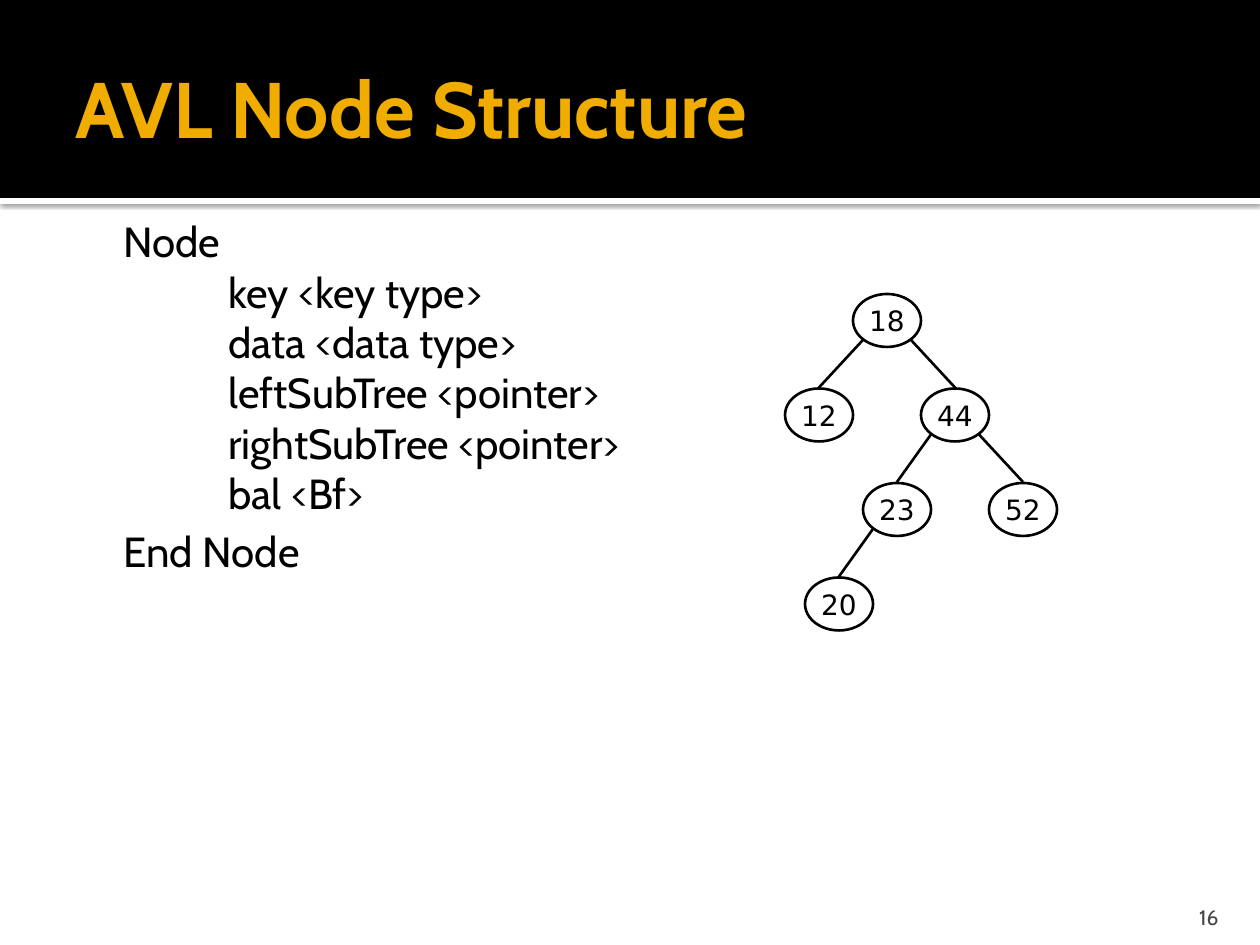
from dataclasses import dataclass

from lxml.etree import SubElement
from pptx import Presentation
from pptx.dml.color import RGBColor
from pptx.enum.shapes import MSO_CONNECTOR, MSO_SHAPE
from pptx.enum.text import MSO_ANCHOR, MSO_AUTO_SIZE, PP_ALIGN
from pptx.oxml.ns import qn
from pptx.util import Inches, Pt

PX_PER_INCH = 126


@dataclass(frozen=True)
class Theme:
    font: str = "Cabin"
    node_font: str = "DejaVu Sans"
    black: RGBColor = RGBColor(0, 0, 0)
    white: RGBColor = RGBColor(255, 255, 255)
    title: RGBColor = RGBColor(0xF0, 0xAD, 0x00)
    number: RGBColor = RGBColor(0x45, 0x45, 0x45)
    title_size: int = 45
    body_size: int = 24
    end_size: int = 28
    node_size: int = 16
    number_size: int = 12
    line_width: float = 1.5


THEME = Theme()

FIELDS = ["key <key type>", "data <data type>", "leftSubTree <pointer>",
          "rightSubTree <pointer>", "bal <Bf>"]
TEXT_INDENT = 105
TAB_STOP = 393

NODE_WIDTH, NODE_HEIGHT = 68, 53
ROOT_X, TREE_TOP, LEVEL_STEP = 887, 294, 94.5
EDGE_X, EDGE_Y = 24, 46
# key: (parent key, horizontal offset from the parent)
TREE = {18: (None, 0), 12: (18, -68), 44: (18, 68),
        52: (44, 68), 23: (44, -58), 20: (23, -58)}


def px(value):
    return Inches(value / PX_PER_INCH)


def place(shape, left, top, width, height):
    shape.left, shape.top = px(left), px(top)
    shape.width, shape.height = px(width), px(height)


def set_frame(shape, anchor, insets, wrap=True):
    frame = shape.text_frame
    frame.auto_size = MSO_AUTO_SIZE.NONE
    frame.word_wrap = wrap
    frame.vertical_anchor = anchor
    (frame.margin_left, frame.margin_top,
     frame.margin_right, frame.margin_bottom) = [Inches(inset) for inset in insets]
    return frame


def add_run(paragraph, text, size, color, font=THEME.font, bold=False):
    run = paragraph.add_run()
    run.text = text
    run.font.name = font
    run.font.size = Pt(size)
    run.font.bold = bold
    run.font.color.rgb = color


def add_band(slide, top, height, color, order):
    """Add a full-width band at a place in the stack, behind the placeholders."""
    band = slide.shapes.add_shape(MSO_SHAPE.RECTANGLE, 0, px(top), px(1260), px(height))
    band.fill.solid()
    band.fill.fore_color.rgb = color
    band.line.fill.background()
    band.shadow.inherit = False
    band.element.getparent().insert(2 + order, band.element)
    return band


def add_soft_shadow(shape):
    effects = shape.element.spPr.find(qn("a:effectLst"))
    shadow = SubElement(effects, qn("a:outerShdw"), blurRad=str(Pt(2.5)),
                        dist=str(Pt(0.8)), dir="5400000", algn="t", rotWithShape="0")
    color = SubElement(shadow, qn("a:srgbClr"), val=str(THEME.black))
    SubElement(color, qn("a:alpha"), val="60000")


def fill_title(slide, text):
    title = slide.shapes.title
    place(title, 63, 21, 1134, 173)
    frame = set_frame(title, MSO_ANCHOR.MIDDLE, (0.1, 0.05, 0.05, 0.05))
    paragraph = frame.paragraphs[0]
    paragraph.alignment = PP_ALIGN.LEFT
    add_run(paragraph, text, THEME.title_size, THEME.title, bold=True)


def format_code_line(paragraph):
    """Hang the line on its indent, without a bullet."""
    properties = paragraph._p.get_or_add_pPr()
    properties.set("marL", str(px(TEXT_INDENT)))
    properties.set("indent", str(-px(TEXT_INDENT)))
    SubElement(properties, qn("a:buNone"))
    tabs = SubElement(properties, qn("a:tabLst"))
    SubElement(tabs, qn("a:tab"), pos=str(px(TAB_STOP)), algn="l")
    paragraph.space_before = Pt(0)


def fill_body(slide):
    body = slide.placeholders[1]
    place(body, 116, 203, 1018, 638)
    frame = set_frame(body, MSO_ANCHOR.TOP, (0.06, 0.1, 0.1, 0.05))
    lines = ["Node", *("\t" + field for field in FIELDS), "End Node"]
    for index, line in enumerate(lines):
        paragraph = frame.add_paragraph() if index else frame.paragraphs[0]
        format_code_line(paragraph)
        add_run(paragraph, line, THEME.body_size, THEME.black)
    add_run(paragraph, " ", THEME.end_size, THEME.black)


def add_slide_number(slide, number):
    box = slide.shapes.add_textbox(px(1130), px(892), px(101), px(38))
    frame = set_frame(box, MSO_ANCHOR.BOTTOM, (0.1, 0.05, 0.1, 0))
    paragraph = frame.paragraphs[0]
    paragraph.alignment = PP_ALIGN.RIGHT
    add_run(paragraph, number, THEME.number_size, THEME.number)


def add_node(slide, key, center, top):
    node = slide.shapes.add_shape(MSO_SHAPE.OVAL, px(center - NODE_WIDTH / 2), px(top),
                                  px(NODE_WIDTH), px(NODE_HEIGHT))
    node.shadow.inherit = False
    node.fill.background()
    node.line.color.rgb = THEME.black
    node.line.width = Pt(THEME.line_width)
    frame = set_frame(node, MSO_ANCHOR.MIDDLE, (0.1, 0.05, 0.1, 0.05), wrap=False)
    paragraph = frame.paragraphs[0]
    paragraph.alignment = PP_ALIGN.CENTER
    add_run(paragraph, str(key), THEME.node_size, THEME.black, THEME.node_font)


def add_edge(slide, start, end):
    edge = slide.shapes.add_connector(MSO_CONNECTOR.STRAIGHT,
                                      *map(px, start), *map(px, end))
    edge.line.color.rgb = THEME.black
    edge.line.width = Pt(THEME.line_width)
    SubElement(edge.element.spPr, qn("a:effectLst"))


def add_tree(slide):
    positions = {}
    for key, (parent, offset) in TREE.items():
        center, top = ROOT_X, TREE_TOP
        if parent is not None:
            parent_center, parent_top = positions[parent]
            center, top = parent_center + offset, parent_top + LEVEL_STEP
            side = EDGE_X if offset > 0 else -EDGE_X
            add_edge(slide, (parent_center + side, parent_top + EDGE_Y), (center, top - 1))
        positions[key] = center, top
        add_node(slide, key, center, top)


def main():
    presentation = Presentation()
    presentation.slide_width, presentation.slide_height = px(1260), px(945)
    slide = presentation.slides.add_slide(presentation.slide_layouts[1])
    add_soft_shadow(add_band(slide, 198, 6, THEME.white, order=0))
    add_band(slide, 0, 198, THEME.black, order=1)
    fill_title(slide, "AVL Node Structure")
    fill_body(slide)
    add_slide_number(slide, "16")
    add_tree(slide)
    presentation.save("out.pptx")


if __name__ == "__main__":
    main()
